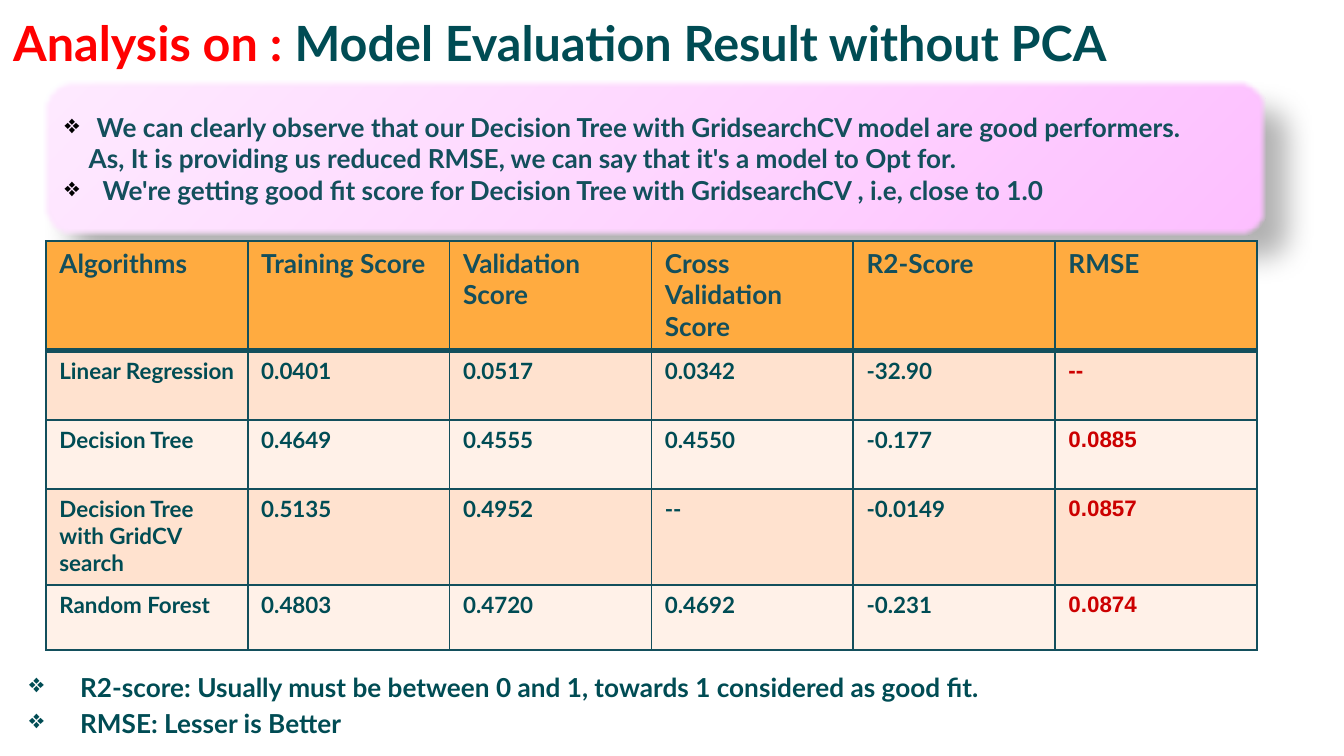
"""Build the slide on model evaluation results without PCA."""
from pptx import Presentation, util as u
from pptx.dml.color import RGBColor
from pptx.enum import shapes, text
from pptx.oxml import parse_xml
from pptx.oxml.ns import nsdecls

PX = 914400 / 134.4
COLORS = {
    "red": "FF0000", "teal": "004C54", "slate": "134F5C", "score": "CC0000",
    "black": "000000", "header": "FFAB40", "dark_band": "FFE2CF", "light_band": "FFF1E8",
}
GRADIENT = [(0, "FDBEFF"), (50, "FED6FF"), (100, "FEEAFF")]
BULLET = "❖"

TITLE = [("Analysis on : ", "red"), ("Model Evaluation Result without PCA", "teal")]
FINDINGS = [
    ("We can clearly observe that our Decision Tree with GridsearchCV model are good performers.", 32, True),
    ("As, It is providing us reduced RMSE, we can say that it's a model to Opt for.", 24, False),
    ("We're getting good fit score for Decision Tree with GridsearchCV , i.e, close to 1.0", 38, True),
]
NOTES = [
    "R2-score: Usually must be between 0 and 1, towards 1 considered as good fit.",
    "RMSE: Lesser is Better",
]
RESULTS = [
    ("Algorithms", "Training Score", "Validation Score", "Cross Validation Score", "R2-Score", "RMSE"),
    ("Linear Regression", "0.0401", "0.0517", "0.0342", "-32.90", "--"),
    ("Decision Tree", "0.4649", "0.4555", "0.4550", "-0.177", "0.0885"),
    ("Decision Tree with GridCV search", "0.5135", "0.4952", "--", "-0.0149", "0.0857"),
    ("Random Forest", "0.4803", "0.4720", "0.4692", "-0.231", "0.0874"),
]
ROW_HEIGHTS = [110, 69, 69, 96, 65]


def px(length):
    return u.Emu(round(length * PX))


def box(*lengths):
    return [px(length) for length in lengths]


def add_run(paragraph, words, size, color, font="Lato"):
    run = paragraph.add_run()
    run.text = words
    run.font.name = font
    run.font.size = u.Pt(size)
    run.font.bold = True
    run.font.color.rgb = RGBColor.from_string(COLORS[color])


def add_element(parent, xml):
    head, rest = xml.split(" ", 1)
    parent.append(parse_xml(f"{head} {nsdecls('a')} {rest}"))


def indent(paragraph, margin, first, bullet_color=None):
    properties = paragraph._p.get_or_add_pPr()
    properties.set("marL", str(px(margin)))
    properties.set("indent", str(px(first)))
    if bullet_color:
        add_element(properties, f'<a:buClr ><a:srgbClr val="{COLORS[bullet_color]}"/></a:buClr>')
        add_element(properties, f'<a:buChar char="{BULLET}"/>')


def paragraphs_for(frame, items):
    frame.word_wrap = True
    for index, item in enumerate(items):
        yield frame.paragraphs[0] if index == 0 else frame.add_paragraph(), item


def add_text_box(slide, *lengths):
    frame = slide.shapes.add_textbox(*box(*lengths)).text_frame
    frame.word_wrap = True
    frame.margin_left = frame.margin_right = frame.margin_top = frame.margin_bottom = u.Inches(0.1)
    return frame


def add_panel(slide):
    panel = slide.shapes.add_shape(shapes.MSO_SHAPE.ROUNDED_RECTANGLE, *box(44, 81, 1222, 155))
    panel.line.fill.background()
    panel.shadow.inherit = False
    panel.fill.solid()
    properties = panel._element.spPr
    stops = "".join(
        f'<a:gs pos="{place * 1000}"><a:srgbClr val="{color}"/></a:gs>' for place, color in GRADIENT)
    gradient = parse_xml(
        f'<a:gradFill {nsdecls("a")} rotWithShape="1"><a:gsLst>{stops}</a:gsLst><a:path path="circle">'
        '<a:fillToRect l="100000" t="100000"/></a:path></a:gradFill>')
    properties.replace(properties.find("{*}solidFill"), gradient)
    effects = properties.find("{*}effectLst")
    add_element(effects, f'<a:outerShdw blurRad="{u.Pt(15)}" dist="{u.Pt(18)}" dir="2700000" algn="tl" '
                f'rotWithShape="0"><a:srgbClr val="{COLORS["black"]}"><a:alpha val="30000"/>'
                '</a:srgbClr></a:outerShdw>')
    add_element(effects, f'<a:softEdge rad="{u.Pt(2.5)}"/>')
    frame = panel.text_frame
    frame.vertical_anchor = text.MSO_ANCHOR.MIDDLE
    for paragraph, (words, margin, bulleted) in paragraphs_for(frame, FINDINGS):
        paragraph.alignment = text.PP_ALIGN.LEFT
        indent(paragraph, margin, -margin if bulleted else 0, "black" if bulleted else None)
        add_run(paragraph, words, 14, "slate")


def set_borders(cell, bottom, top):
    properties = cell._tc.get_or_add_tcPr()
    for side, width in (("L", 1), ("R", 1), ("T", top), ("B", bottom)):
        add_element(properties, f'<a:ln{side} w="{u.Pt(width)}"><a:solidFill>'
                    f'<a:srgbClr val="{COLORS["slate"]}"/></a:solidFill></a:ln{side}>')


def add_results(slide):
    columns = len(RESULTS[0])
    table = slide.shapes.add_table(
        len(RESULTS), columns, *box(46, 241, 1211, sum(ROW_HEIGHTS))).table
    for column in table.columns:
        column.width = px(1211 / columns)
    for row, values in enumerate(RESULTS):
        table.rows[row].height = px(ROW_HEIGHTS[row])
        band = "header" if row == 0 else "dark_band" if row % 2 else "light_band"
        for column, value in enumerate(values):
            cell = table.cell(row, column)
            set_borders(cell, 3 if row == 0 else 1, 3 if row == 1 else 1)
            cell.fill.solid()
            cell.fill.fore_color.rgb = RGBColor.from_string(COLORS[band])
            if row == 0:
                style = (14, "slate")
            elif column == columns - 1:
                style = (12, "score", "Arial")
            else:
                style = (12, "teal")
            add_run(cell.text_frame.paragraphs[0], value, *style)


def main():
    presentation = Presentation()
    presentation.slide_width, presentation.slide_height = box(1344, 756)
    slide = presentation.slides.add_slide(presentation.slide_layouts[6])
    title = add_text_box(slide, 0, 0, 1253, 85)
    for words, color in TITLE:
        add_run(title.paragraphs[0], words, 26, color)
    notes = add_text_box(slide, 0, 653, 1344, 102)
    for paragraph, words in paragraphs_for(notes, NOTES):
        paragraph.line_spacing = 1.15
        indent(paragraph, 67, -51, "teal")
        add_run(paragraph, words, 14, "teal")
    add_panel(slide)
    add_results(slide)
    presentation.save("out.pptx")


if __name__ == "__main__":
    main()
